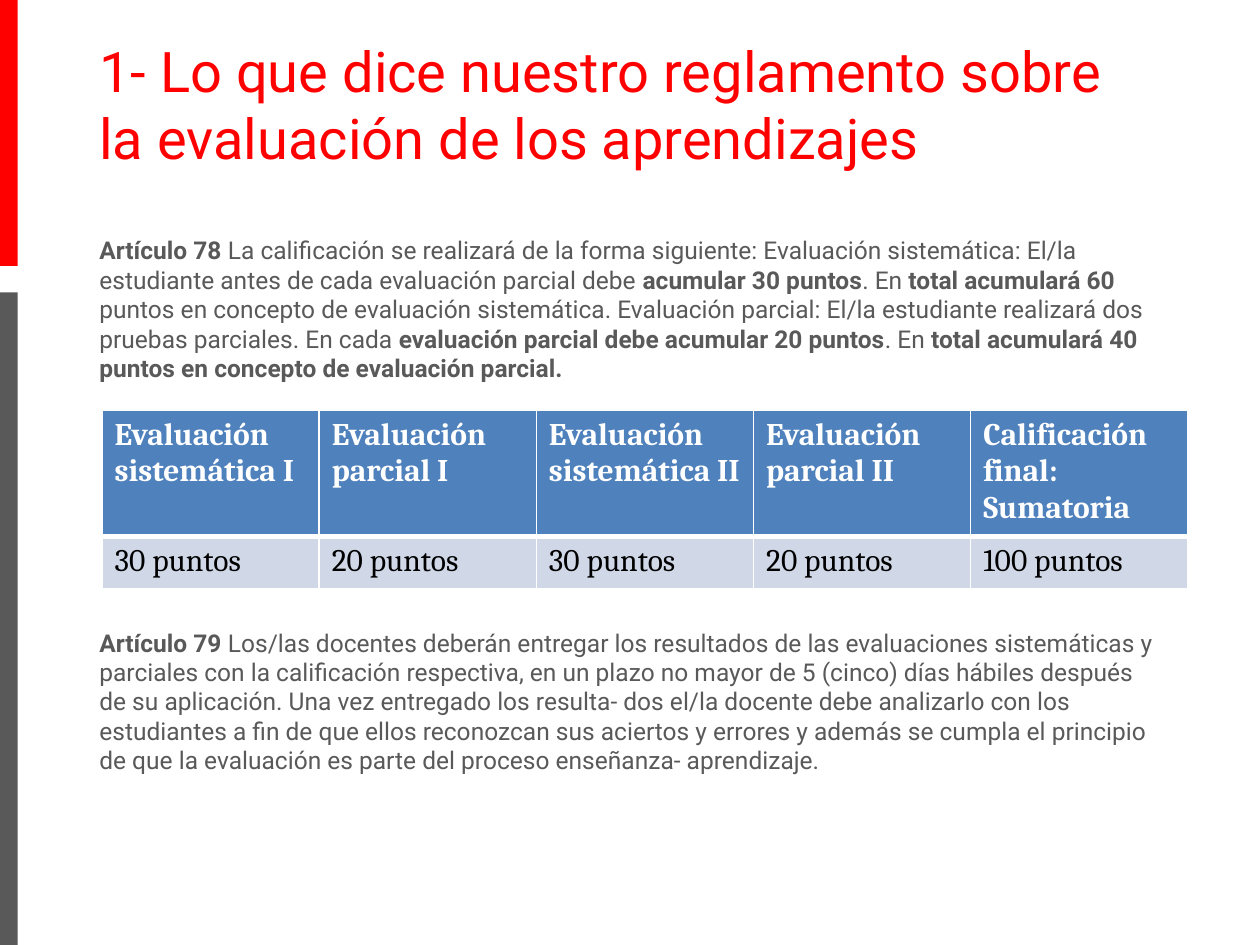
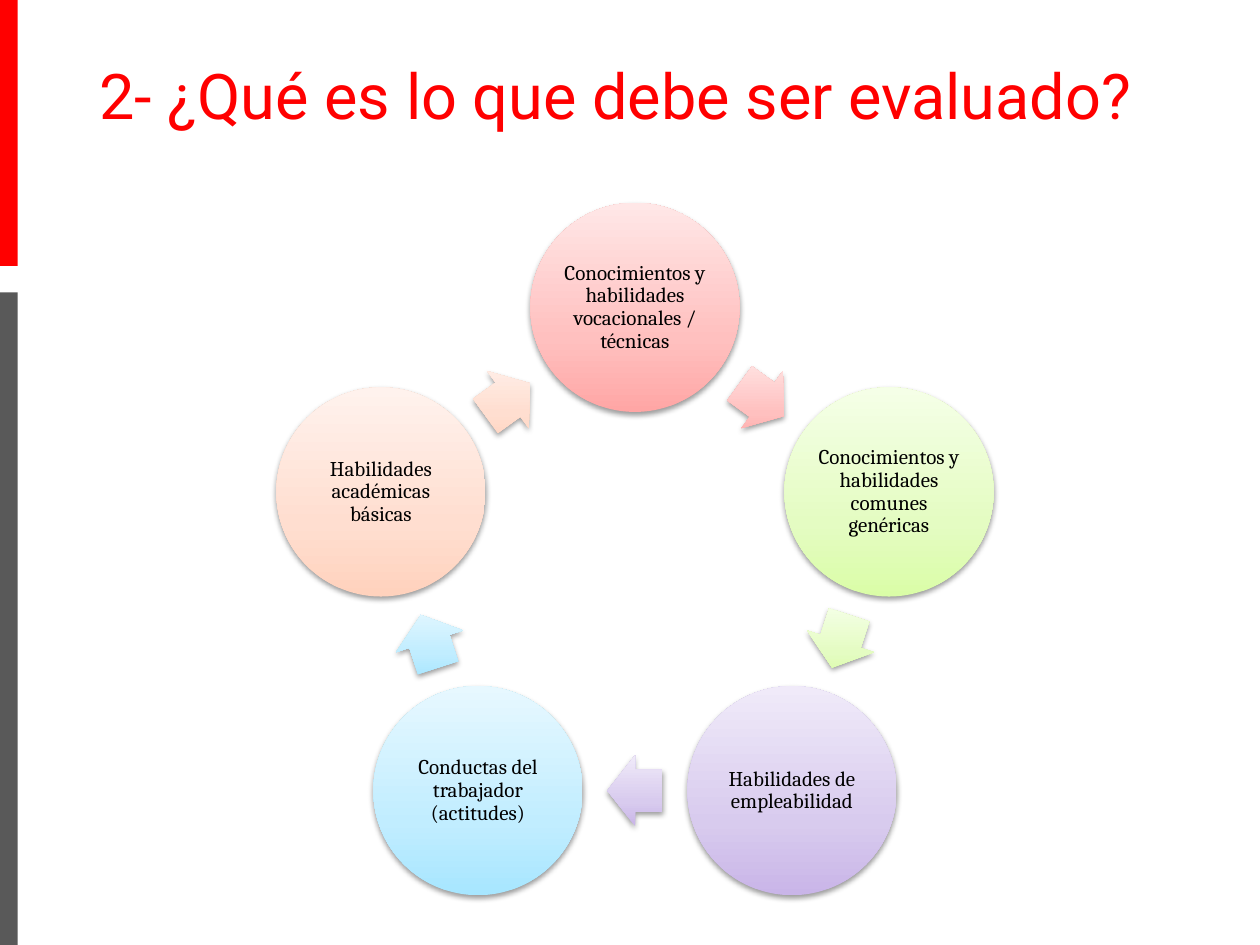
import math
from dataclasses import dataclass
from typing import Sequence

from lxml import etree
from pptx import Presentation
from pptx.dml.color import RGBColor
from pptx.enum import shapes, text
from pptx.oxml import ns, parse_xml
from pptx.util import Inches, Pt

RED = RGBColor(0xFF, 0x00, 0x00)
GRAY = RGBColor(0x59, 0x59, 0x59)
BLACK = RGBColor(0x00, 0x00, 0x00)
WHITE = RGBColor(0xFF, 0xFF, 0xFF)
HEADER_BLUE = RGBColor(0x4F, 0x81, 0xBD)
ROW_BLUE = RGBColor(0xD0, 0xD8, 0xE8)

SANS = "Roboto"
SERIF = "Cambria"
LEFT = 0.69
CONTENT_WIDTH = 8.62


@dataclass(frozen=True)
class Style:
    font: str
    size: float
    color: RGBColor
    bold: bool = False


@dataclass(frozen=True)
class Band:
    top: float
    height: float
    color: RGBColor


@dataclass(frozen=True)
class Phrase:
    words: str
    bold: bool = False


@dataclass(frozen=True)
class Skill:
    label: str
    dark: RGBColor
    middle: RGBColor
    light: RGBColor


BANDS = (Band(0, 2.11, RED), Band(2.32, 5.18, GRAY))

ARTICLES = (
    (
        Phrase("Artículo 78 ", True),
        Phrase("La calificación se realizará de la forma siguiente: Evaluación sistemática: "
               "El/la estudiante antes de cada evaluación parcial debe "),
        Phrase("acumular 30 puntos", True),
        Phrase(". En "),
        Phrase("total acumulará 60 ", True),
        Phrase("puntos en concepto de evaluación sistemática. Evaluación parcial: El/la "
               "estudiante realizará dos pruebas parciales. En cada "),
        Phrase("evaluación parcial debe acumular 20 puntos", True),
        Phrase(". En "),
        Phrase("total acumulará 40 puntos en concepto de evaluación parcial.", True),
    ),
    (
        Phrase("Artículo 79 ", True),
        Phrase("Los/las docentes deberán entregar los resultados de las evaluaciones "
               "sistemáticas y parciales con la calificación respectiva, en un plazo no mayor "
               "de 5 (cinco) días hábiles después de su aplicación. Una vez entregado los "
               "resulta- dos el/la docente debe analizarlo con los estudiantes a fin de que "
               "ellos reconozcan sus aciertos y errores y además se cumpla el principio de que "
               "la evaluación es parte del proceso enseñanza- aprendizaje."),
    ),
)

SCORES = (
    (("Evaluación sistemática I",), "30 puntos"),
    (("Evaluación parcial I",), "20 puntos"),
    (("Evaluación sistemática II",), "30 puntos"),
    (("Evaluación parcial II",), "20 puntos"),
    (("Calificación final:", "Sumatoria"), "100 puntos"),
)

SKILLS = (
    Skill("Conocimientos y habilidades vocacionales / técnicas",
          RGBColor(0xFF, 0xA6, 0xA5), RGBColor(0xFF, 0xC0, 0xBF), RGBColor(0xFF, 0xE7, 0xE7)),
    Skill("Conocimientos y habilidades comunes genéricas",
          RGBColor(0xDA, 0xFD, 0xA7), RGBColor(0xE4, 0xFC, 0xC2), RGBColor(0xF5, 0xFF, 0xE7)),
    Skill("Habilidades de empleabilidad",
          RGBColor(0xC9, 0xB5, 0xE8), RGBColor(0xD8, 0xCB, 0xEE), RGBColor(0xF0, 0xEA, 0xF9)),
    Skill("Conductas del trabajador (actitudes)",
          RGBColor(0xA7, 0xE6, 0xFF), RGBColor(0xC1, 0xED, 0xFF), RGBColor(0xE7, 0xF8, 0xFF)),
    Skill("Habilidades académicas básicas",
          RGBColor(0xFF, 0xD2, 0xBD), RGBColor(0xFF, 0xDE, 0xD0), RGBColor(0xFF, 0xF2, 0xED)),
)


def add_run(paragraph, words: str, style: Style) -> None:
    run = paragraph.add_run()
    run.text = words
    run.font.name = style.font
    run.font.size = Pt(style.size)
    run.font.bold = style.bold
    run.font.color.rgb = style.color


def add_plain_shape(slide, kind, left: float, top: float, width: float, height: float):
    shape = slide.shapes.add_shape(
        kind, Inches(left), Inches(top), Inches(width), Inches(height))
    shape.shadow.inherit = False
    shape.line.fill.background()
    return shape


def add_title(slide, lines: Sequence[str], size: float, top: float, height: float) -> None:
    box = slide.shapes.add_textbox(
        Inches(LEFT), Inches(top), Inches(CONTENT_WIDTH), Inches(height))
    box.text_frame.word_wrap = True
    paragraph = box.text_frame.paragraphs[0]
    for number, line in enumerate(lines):
        if number:
            paragraph.add_line_break()
        add_run(paragraph, line, Style(SANS, size, RED))


def add_slide(deck, title: Sequence[str], size: float, top: float, height: float):
    slide = deck.slides.add_slide(deck.slide_layouts[6])
    for band in BANDS:
        bar = add_plain_shape(
            slide, shapes.MSO_SHAPE.RECTANGLE, 0, band.top, 0.14, band.height)
        bar.fill.solid()
        bar.fill.fore_color.rgb = band.color
    add_title(slide, title, size, top, height)
    return slide


def add_articles(slide) -> None:
    body = slide.shapes.add_textbox(
        Inches(LEFT), Inches(1.82), Inches(CONTENT_WIDTH), Inches(4.76)).text_frame
    body.word_wrap = True
    for number, article in enumerate(ARTICLES):
        paragraph = body.add_paragraph() if number else body.paragraphs[0]
        if number:
            paragraph.space_before = Pt(140)
        for phrase in article:
            add_run(paragraph, phrase.words, Style(SANS, 14, GRAY, phrase.bold))


def set_borders(cell, bottom: float) -> None:
    properties = cell._tc.get_or_add_tcPr()
    widths = {"lnL": 1, "lnR": 1, "lnT": 1, "lnB": bottom}
    for position, (side, width) in enumerate(widths.items()):
        properties.insert(position, parse_xml(
            f'<a:{side} {ns.nsdecls("a")} w="{Pt(width)}">'
            f'<a:solidFill><a:srgbClr val="{WHITE}"/></a:solidFill></a:{side}>'))


def fill_cell(cell, lines: Sequence[str], style: Style, fill: RGBColor, bottom: float) -> None:
    cell.fill.solid()
    cell.fill.fore_color.rgb = fill
    set_borders(cell, bottom)
    for number, line in enumerate(lines):
        frame = cell.text_frame
        paragraph = frame.add_paragraph() if number else frame.paragraphs[0]
        add_run(paragraph, line, style)


def add_scores(slide) -> None:
    row_heights = (0.96, 0.41)
    table = slide.shapes.add_table(
        len(row_heights), len(SCORES), Inches(0.81), Inches(3.26),
        Inches(CONTENT_WIDTH), Inches(sum(row_heights))).table
    for row, height in zip(table.rows, row_heights):
        row.height = Inches(height)
    for column, (heading, points) in enumerate(SCORES):
        fill_cell(table.cell(0, column), heading,
                  Style(SERIF, 18, WHITE, True), HEADER_BLUE, 3)
        fill_cell(table.cell(1, column), (points,), Style(SERIF, 18, BLACK), ROW_BLUE, 1)


def tint(shape, skill: Skill) -> None:
    shape.fill.background()
    properties = shape._element.spPr
    stops = "".join(
        f'<a:gs pos="{share * 1000}"><a:srgbClr val="{color}"/></a:gs>'
        for share, color in ((0, skill.dark), (35, skill.middle), (100, skill.light)))
    properties.replace(properties.find(ns.qn("a:noFill")), parse_xml(
        f'<a:gradFill {ns.nsdecls("a")} rotWithShape="0"><a:gsLst>{stops}</a:gsLst>'
        '<a:lin ang="16200000" scaled="0"/></a:gradFill>'))
    shadow = etree.SubElement(
        properties.find(ns.qn("a:effectLst")), ns.qn("a:outerShdw"),
        blurRad="40000", dist="20000", dir="5400000", rotWithShape="0")
    black = etree.SubElement(shadow, ns.qn("a:srgbClr"), val=str(BLACK))
    etree.SubElement(black, ns.qn("a:alpha"), val="38000")


def add_on_ring(slide, kind, radius: float, degrees: float,
                width: float, height: float, skill: Skill):
    center_x, center_y = 5.04, 4.56
    angle = math.radians(degrees)
    x = center_x + radius * math.sin(angle)
    y = center_y - radius * math.cos(angle)
    shape = add_plain_shape(slide, kind, x - width / 2, y - height / 2, width, height)
    tint(shape, skill)
    return shape


def add_skill_cycle(slide) -> None:
    radius, diameter = 2.12, 1.66
    step = 360 / len(SKILLS)
    for number, skill in enumerate(SKILLS):
        degrees = number * step
        circle = add_on_ring(
            slide, shapes.MSO_SHAPE.OVAL, radius, degrees, diameter, diameter, skill)
        frame = circle.text_frame
        frame.word_wrap = True
        frame.vertical_anchor = text.MSO_ANCHOR.MIDDLE
        frame.margin_left = frame.margin_right = Inches(0.02)
        frame.margin_top = frame.margin_bottom = Inches(0.02)
        label = frame.paragraphs[0]
        label.alignment = text.PP_ALIGN.CENTER
        label.line_spacing = 0.9
        add_run(label, skill.label, Style(SERIF, 12, BLACK))

        halfway = degrees + step / 2
        arrow = add_on_ring(
            slide, shapes.MSO_SHAPE.RIGHT_ARROW,
            radius * math.cos(math.radians(step / 2)), halfway, 0.44, 0.56, skill)
        arrow.rotation = halfway
        arrow.adjustments[0] = 0.6
        arrow.adjustments[1] = 0.5


def main() -> None:
    deck = Presentation()
    deck.slide_width = Inches(10)
    deck.slide_height = Inches(7.5)

    rules = add_slide(
        deck, ("1- Lo que dice nuestro reglamento sobre", "la evaluación de los aprendizajes"),
        32, 0.24, 1.1)
    add_articles(rules)
    add_scores(rules)

    assessed = add_slide(deck, ("2- ¿Qué es lo que debe ser evaluado?",), 36, 0.4, 1.45)
    add_skill_cycle(assessed)

    deck.save("out.pptx")


if __name__ == "__main__":
    main()
